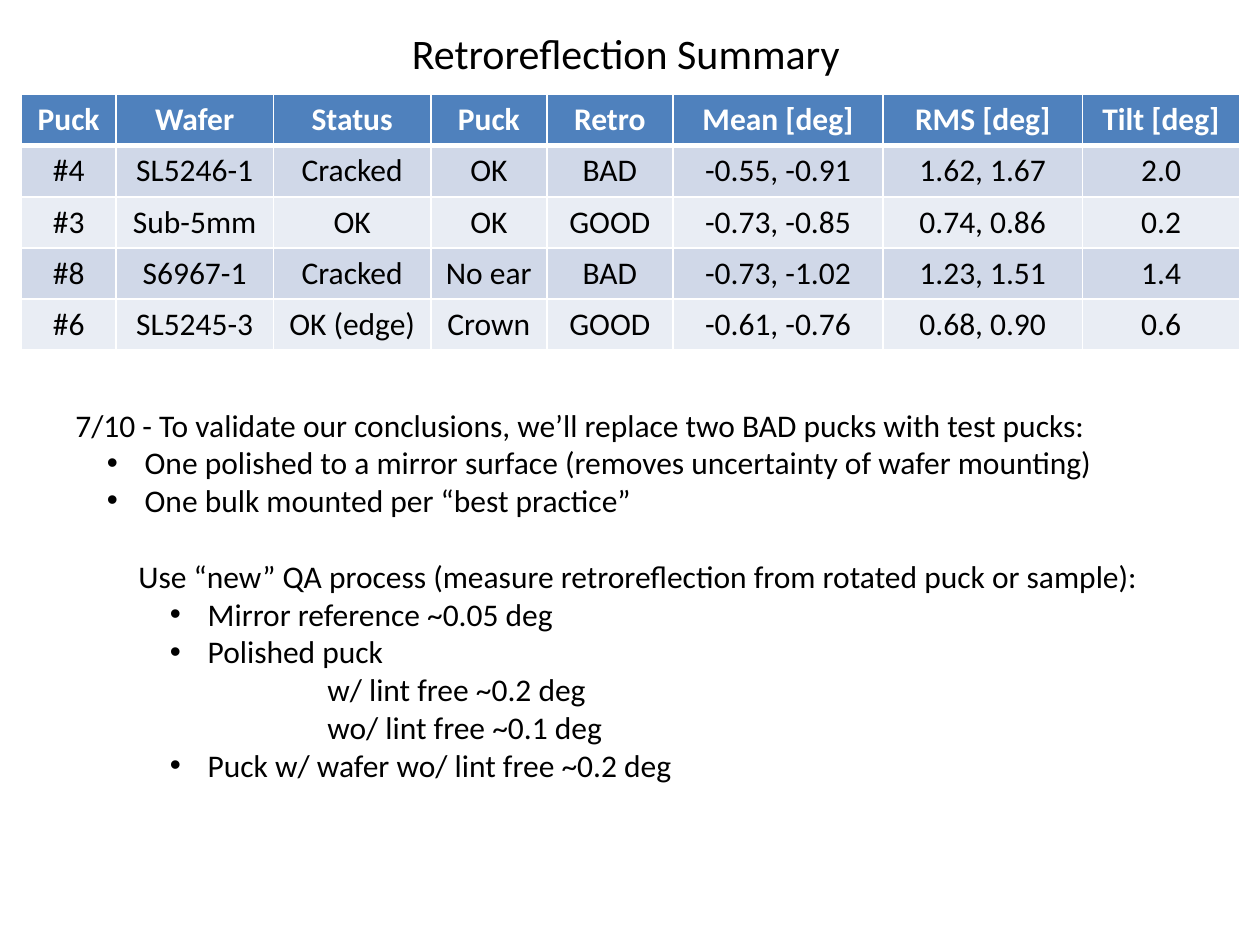
from lxml import etree
from pptx import Presentation
from pptx.dml.color import RGBColor
from pptx.enum.text import PP_ALIGN
from pptx.oxml.ns import qn
from pptx.util import Inches, Pt

CENTER = PP_ALIGN.CENTER
BLACK = RGBColor(0x00, 0x00, 0x00)
WHITE = RGBColor(0xFF, 0xFF, 0xFF)
HEADER_BLUE = RGBColor(0x4F, 0x81, 0xBD)
BANDS = [RGBColor(0xD0, 0xD8, 0xE8), RGBColor(0xE9, 0xED, 0xF4)]
FONT = "Calibri"


def style(para, size, color=BLACK, bold=False):
    para.font.name = FONT
    para.font.size = Pt(size)
    para.font.bold = bold
    para.font.color.rgb = color


def add_border(cell, side, width):
    line = etree.SubElement(cell._tc.get_or_add_tcPr(), qn("a:" + side), w=str(Pt(width)))
    fill = etree.SubElement(line, qn("a:solidFill"))
    etree.SubElement(fill, qn("a:srgbClr"), val=str(WHITE))


deck = Presentation()
deck.slide_width, deck.slide_height = Inches(10), Inches(7.5)
page = deck.slides.add_slide(deck.slide_layouts[6])

# Results table
rows = [
    ["Puck", "Wafer", "Status", "Puck", "Retro", "Mean [deg]", "RMS [deg]", "Tilt [deg]"],
    ["#4", "SL5246-1", "Cracked", "OK", "BAD", "-0.55, -0.91", "1.62, 1.67", "2.0"],
    ["#3", "Sub-5mm", "OK", "OK", "GOOD", "-0.73, -0.85", "0.74, 0.86", "0.2"],
    ["#8", "S6967-1", "Cracked", "No ear", "BAD", "-0.73, -1.02", "1.23, 1.51", "1.4"],
    ["#6", "SL5245-3", "OK (edge)", "Crown", "GOOD", "-0.61, -0.76", "0.68, 0.90", "0.6"],
]
widths = [0.75, 1.25, 1.25, 0.92, 1, 1.67, 1.58, 1.25]
table = page.shapes.add_table(len(rows), len(widths), Inches(0.17), Inches(0.75),
                              Inches(9.67), Inches(2.03)).table
for column, width in zip(table.columns, widths):
    column.width = Inches(width)
for r, values in enumerate(rows):
    header = r == 0
    for c, value in enumerate(values):
        cell = table.cell(r, c)
        for side in ("lnL", "lnR", "lnT", "lnB"):
            under_header = (side, r) in (("lnB", 0), ("lnT", 1))
            add_border(cell, side, 3 if under_header else 1)
        cell.fill.solid()
        cell.fill.fore_color.rgb = HEADER_BLUE if header else BANDS[(r - 1) % 2]
        cell.text = value
        para = cell.text_frame.paragraphs[0]
        para.alignment = CENTER
        style(para, 18, WHITE if header else BLACK, header)

# Title
box = page.shapes.add_textbox(Inches(3.17), Inches(0.17), Inches(3.63), Inches(0.5))
box.text_frame.word_wrap = False
para = box.text_frame.paragraphs[0]
para.text = "Retroreflection Summary"
style(para, 24)

# Notes: text, left margin in inches, bulleted, points of space before
notes = [
    ("7/10 - To validate our conclusions, we’ll replace two BAD pucks with test pucks:", 0, False, 0),
    ("One polished to a mirror surface (removes uncertainty of wafer mounting)", 0.55, True, 0),
    ("One bulk mounted per “best practice”", 0.55, True, 0),
    ("Use “new” QA process (measure retroreflection from rotated puck or sample):", 0.5, False, 21.6),
    ("Mirror reference ~0.05 deg", 1.05, True, 0),
    ("Polished puck", 1.05, True, 0),
    ("w/ lint free ~0.2 deg", 2, False, 0),
    ("wo/ lint free ~0.1 deg", 2, False, 0),
    ("Puck w/ wafer wo/ lint free ~0.2 deg", 1.05, True, 0),
]
box = page.shapes.add_textbox(Inches(0.5), Inches(3.17), Inches(8.73), Inches(3.43))
frame = box.text_frame
frame.word_wrap = True
for i, (text, margin, bulleted, space) in enumerate(notes):
    para = frame.add_paragraph() if i else frame.paragraphs[0]
    para.text = text
    if space:
        para.space_before = Pt(space)
    props = para._p.get_or_add_pPr()
    props.set("marL", str(Inches(margin)))
    props.set("indent", str(Inches(-0.3) if bulleted else 0))
    if bulleted:
        etree.SubElement(props, qn("a:buFont"), typeface="Arial")
        etree.SubElement(props, qn("a:buChar"), char="•")
    style(para, 18)

deck.save("out.pptx")
